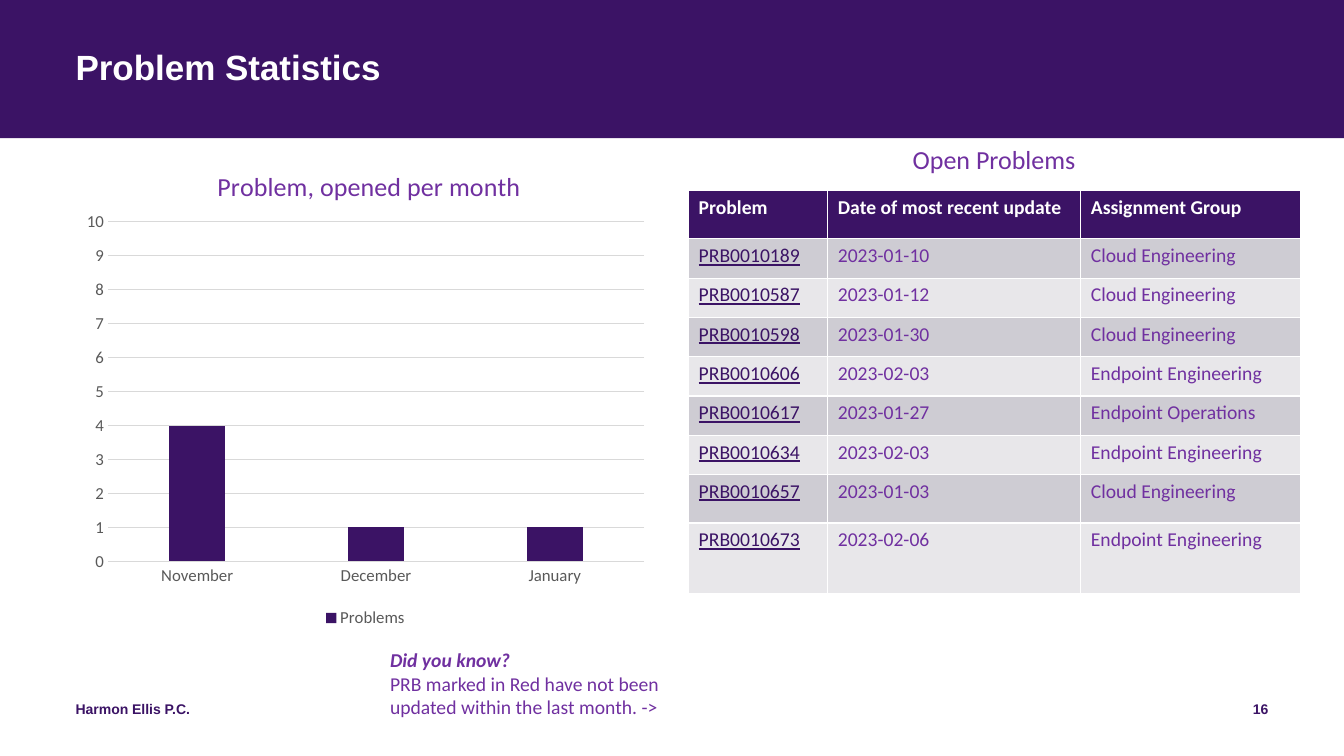
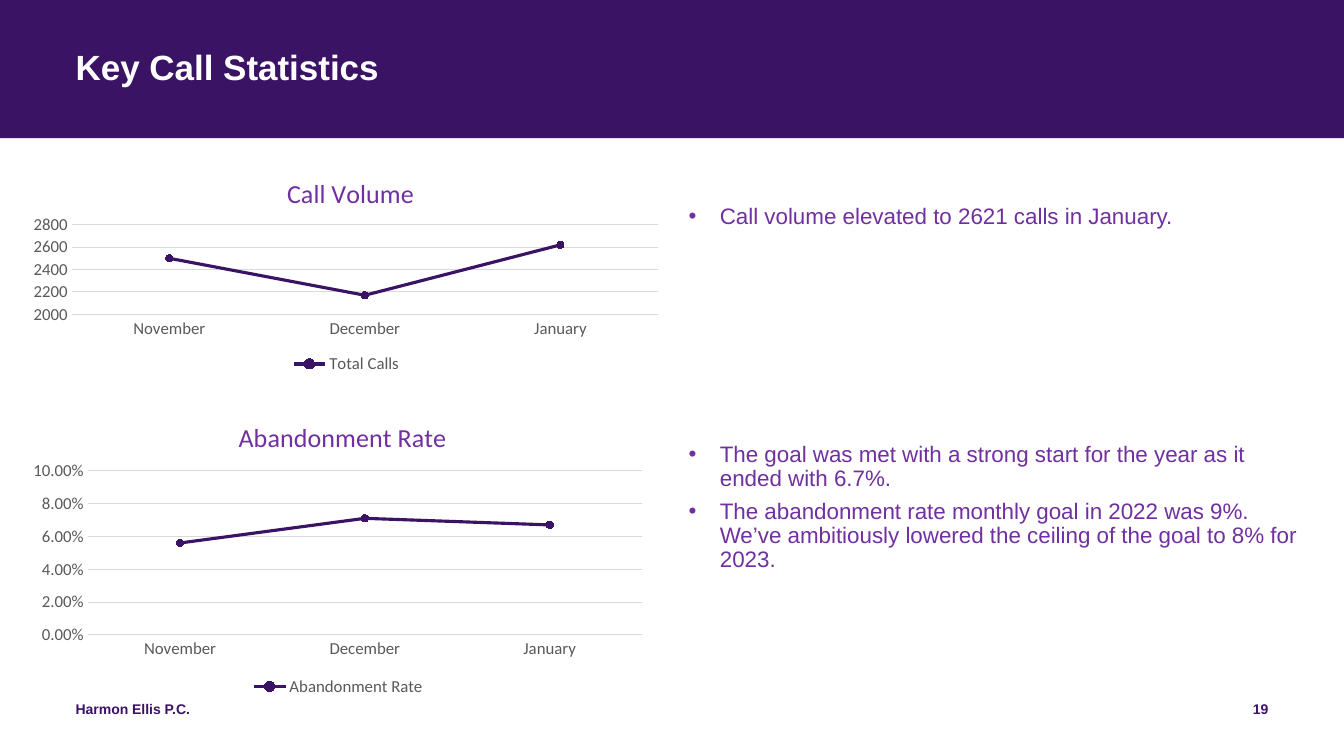
from lxml import etree
from pptx import Presentation
from pptx.chart.data import CategoryChartData
from pptx.dml.color import RGBColor
from pptx.enum.chart import XL_CHART_TYPE, XL_LEGEND_POSITION, XL_MARKER_STYLE, XL_TICK_MARK
from pptx.enum.shapes import MSO_SHAPE
from pptx.enum.text import PP_ALIGN
from pptx.oxml.ns import qn
from pptx.util import Inches, Pt

COLUMNS = XL_CHART_TYPE.COLUMN_CLUSTERED
LINES = XL_CHART_TYPE.LINE_MARKERS
LEGEND_BOTTOM = XL_LEGEND_POSITION.BOTTOM
CIRCLE = XL_MARKER_STYLE.CIRCLE
NO_TICK = XL_TICK_MARK.NONE
RECTANGLE = MSO_SHAPE.RECTANGLE
LEFT, CENTER, RIGHT = PP_ALIGN.LEFT, PP_ALIGN.CENTER, PP_ALIGN.RIGHT

COLORS = {
    "brand": "3B1365",
    "accent": "7030A0",
    "white": "FFFFFF",
    "axis": "595959",
    "grid": "D9D9D9",
    "row_dark": "CECCD3",
    "row_light": "E8E7EA",
}
HEADING, BODY = "Arial", "Calibri"
FIRM = "Harmon Ellis P.C."
MONTHS = ["November", "December", "January"]


def color(name):
    return RGBColor.from_string(COLORS[name])


class Deck:
    """Holds the shared style and the slide being built."""

    def __init__(self):
        self.presentation = Presentation()
        self.presentation.slide_width = Inches(13.33)
        self.presentation.slide_height = Inches(7.5)
        self.slide = None

    def start(self, title, number):
        self.slide = self.presentation.slides.add_slide(self.presentation.slide_layouts[6])
        band = self.slide.shapes.add_shape(RECTANGLE, 0, 0, Inches(13.33), Inches(1.37))
        band.shadow.inherit = False
        band.fill.solid()
        band.fill.fore_color.rgb = color("brand")
        band.line.fill.background()
        heading = self.text((0.75, 0.5, 11.83, 0.81), [title], 25, "white", HEADING, bold=True, inset=0)
        heading.paragraphs[0].line_spacing = 0.9
        self.text((0.75, 6.95, 4.5, 0.4), [FIRM], 10, "brand", HEADING, bold=True, inset=0)
        self.text((9.58, 6.95, 3, 0.4), [str(number)], 10, "brand", HEADING, RIGHT, True, 0)

    def font(self, font, size, tint, face=BODY, bold=False):
        font.size = Pt(size)
        font.name = face
        font.bold = bold
        font.color.rgb = color(tint)

    def text(self, box, lines, size, tint, face=BODY, align=LEFT, bold=False, inset=None):
        frame = self.slide.shapes.add_textbox(*map(Inches, box)).text_frame
        frame.word_wrap = True
        if inset is not None:
            frame.margin_left = frame.margin_right = Inches(inset)
            frame.margin_top = frame.margin_bottom = Inches(inset)
        frame.text = "\n".join(lines)
        for paragraph in frame.paragraphs:
            paragraph.alignment = align
            self.font(paragraph.runs[0].font, size, tint, face, bold)
        return frame

    def bullets(self, box, points):
        frame = self.text(box, points, 16, "accent", HEADING, inset=0)
        for paragraph in frame.paragraphs:
            paragraph.line_spacing = 0.9
            paragraph.space_after = Pt(6)
            properties = paragraph._p.get_or_add_pPr()
            properties.set("marL", str(Inches(0.31)))
            properties.set("indent", str(Inches(-0.31)))
            etree.SubElement(properties, qn("a:buFont"), typeface=HEADING)
            etree.SubElement(properties, qn("a:buChar"), char="•")

    def table(self, box, widths, heights, rows):
        grid = self.slide.shapes.add_table(len(rows), len(widths), *map(Inches, box)).table
        for column, width in zip(grid.columns, widths):
            column.width = Inches(width)
        for index, (values, height) in enumerate(zip(rows, heights)):
            grid.rows[index].height = Inches(height)
            header = index == 0
            fill = "brand" if header else "row_dark" if index % 2 else "row_light"
            for place, value in enumerate(values):
                cell = grid.cell(index, place)
                cell.fill.solid()
                cell.fill.fore_color.rgb = color(fill)
                cell.text_frame.text = value
                font = cell.text_frame.paragraphs[0].runs[0].font
                is_ticket = place == 0 and not header
                tint = "white" if header else "brand" if is_ticket else "accent"
                self.font(font, 14, tint, bold=header)
                font.underline = is_ticket

    def place(self, parent, index, box, **position):
        for old in parent.findall(qn("c:layout")):
            parent.remove(old)
        layout = etree.Element(qn("c:layout"))
        parent.insert(index, layout)
        manual = etree.SubElement(layout, qn("c:manualLayout"))
        if "w" in position:
            etree.SubElement(manual, qn("c:layoutTarget"), val="inner")
        for mode in ("xMode", "yMode"):
            etree.SubElement(manual, qn(f"c:{mode}"), val="edge")
        left, top, width, height = box
        starts = {"x": left, "y": top, "w": 0, "h": 0}
        spans = {"x": width, "y": height, "w": width, "h": height}
        for key, value in position.items():
            share = (value - starts[key]) / spans[key]
            etree.SubElement(manual, qn(f"c:{key}"), val=f"{share:.4f}")

    def chart(self, kind, box, title, title_at, plot_box, series_name, values, scale, number_format="General"):
        data = CategoryChartData(number_format=number_format)
        data.categories = MONTHS
        data.add_series(series_name, values)
        chart = self.slide.shapes.add_chart(kind, *map(Inches, box), data).chart
        self.font(chart.font, 12, "axis")
        chart.has_title = True
        heading = chart.chart_title.text_frame
        heading.text = title
        self.font(heading.paragraphs[0].runs[0].font, 18.6, "accent")
        self.place(chart.element.xpath("c:chart/c:title")[0], 1, box, x=title_at[0], y=title_at[1])
        self.place(chart.element.xpath("c:chart/c:plotArea")[0], 0, box, **dict(zip("xywh", plot_box)))
        chart.has_legend = True
        chart.legend.position = LEGEND_BOTTOM
        chart.legend.include_in_layout = False
        self.font(chart.legend.font, 12, "axis")
        self.axes(chart, scale, number_format)
        self.series(chart.plots[0], kind)

    def axes(self, chart, scale, number_format):
        months, amounts = chart.category_axis, chart.value_axis
        for axis in (months, amounts):
            axis.major_tick_mark = axis.minor_tick_mark = NO_TICK
            self.font(axis.tick_labels.font, 12, "axis")
        amounts.minimum_scale, amounts.maximum_scale, amounts.major_unit = scale
        amounts.tick_labels.number_format = number_format
        amounts.tick_labels.number_format_is_linked = False
        amounts.has_major_gridlines = True
        amounts.format.line.fill.background()
        for line in (months.format.line, amounts.major_gridlines.format.line):
            line.color.rgb = color("grid")
            line.width = Pt(0.75)

    def series(self, plot, kind):
        plot.vary_by_categories = False
        measure = plot.series[0]
        if kind == COLUMNS:
            plot.gap_width, plot.overlap = 219, -27
            measure.format.fill.solid()
            measure.format.fill.fore_color.rgb = color("brand")
            return
        measure.smooth = False
        measure.format.line.color.rgb = color("brand")
        measure.format.line.width = Pt(2.25)
        measure.marker.style, measure.marker.size = CIRCLE, 5
        measure.marker.format.fill.solid()
        measure.marker.format.fill.fore_color.rgb = color("brand")
        measure.marker.format.line.color.rgb = color("brand")


def problem_statistics(deck):
    deck.start("Problem Statistics", 16)
    deck.chart(COLUMNS, (0.75, 1.38, 5.75, 4.89), "Problem, opened per month", (2.11, 1.62),
               (1.07, 2.2, 5.32, 3.37), "Problems", [4, 1, 1], (0, 10, 1))
    deck.table((6.83, 1.89, 6.07, 3.98), [1.38, 2.51, 2.18], [0.48] + [0.39] * 6 + [0.48, 0.7], [
        ("Problem", "Date of most recent update", "Assignment Group"),
        ("PRB0010189", "2023-01-10", "Cloud Engineering"),
        ("PRB0010587", "2023-01-12", "Cloud Engineering"),
        ("PRB0010598", "2023-01-30", "Cloud Engineering"),
        ("PRB0010606", "2023-02-03", "Endpoint Engineering"),
        ("PRB0010617", "2023-01-27", "Endpoint Operations"),
        ("PRB0010634", "2023-02-03", "Endpoint Engineering"),
        ("PRB0010657", "2023-01-03", "Cloud Engineering"),
        ("PRB0010673", "2023-02-06", "Endpoint Engineering"),
    ])
    deck.text((6.83, 1.37, 6.06, 0.41), ["Open Problems"], 18.6, "accent", align=CENTER)
    hint = deck.text((3.77, 6.38, 2.9, 0.81), [
        "Did you know?",
        "PRB marked in Red have not been updated within the last month. ->",
    ], 14, "accent")
    question = hint.paragraphs[0].runs[0].font
    question.bold = question.italic = True


def call_statistics(deck):
    deck.start("Key Call Statistics", 19)
    deck.chart(LINES, (0.21, 1.51, 6.45, 2.24), "Call Volume", (2.8, 1.69),
               (0.71, 2.23, 5.82, 0.89), "Total Calls", [2500, 2170, 2620], (2000, 2800, 200))
    deck.bullets((6.83, 2.04, 6.17, 1.53), ["Call volume elevated to 2621 calls in January."])
    deck.chart(LINES, (0.21, 3.92, 6.29, 3.03), "Abandonment Rate", (2.32, 4.11),
               (0.87, 4.67, 5.5, 1.63), "Abandonment Rate", [0.056, 0.071, 0.067],
               (0, 0.1, 0.02), "0.00%")
    deck.bullets((6.83, 4.4, 6.17, 2.87), [
        "The goal was met with a strong start for the year as it ended with 6.7%.",
        "The abandonment rate monthly goal in 2022 was 9%. We’ve ambitiously lowered "
        "the ceiling of the goal to 8% for 2023.",
    ])


def main():
    deck = Deck()
    problem_statistics(deck)
    call_statistics(deck)
    deck.presentation.save("out.pptx")


if __name__ == "__main__":
    main()
